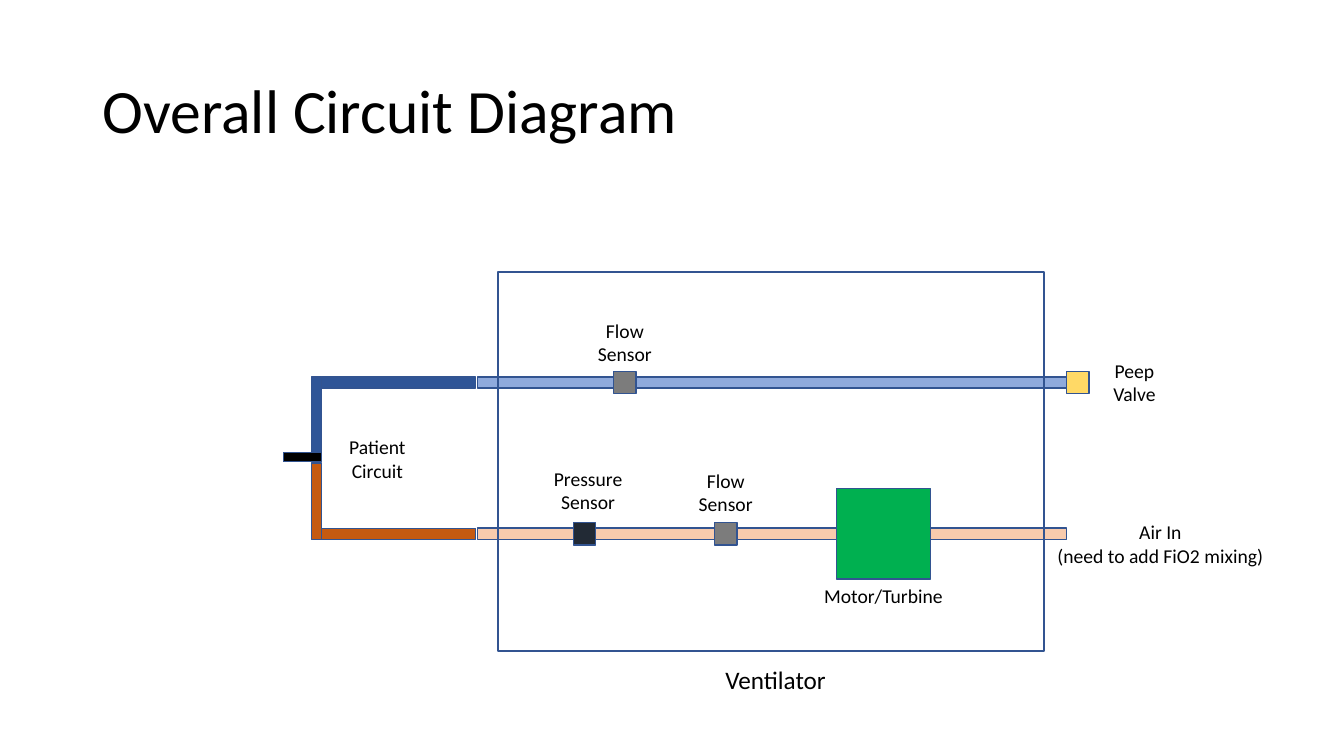
from dataclasses import dataclass

from pptx import Presentation
from pptx.dml.color import RGBColor
from pptx.enum.shapes import MSO_SHAPE
from pptx.enum.text import MSO_ANCHOR, PP_ALIGN
from pptx.util import Pt


@dataclass(frozen=True)
class Theme:
    """Colours, type sizes and line width of the slide."""
    font: str = "Calibri"
    title_size: int = 44
    caption_size: int = 18
    label_size: int = 14
    outline_width: float = 1
    text: str = "000000"
    outline: str = "325491"
    exhale_hose: str = "2F5597"
    exhale_tube: str = "8FAADC"
    inhale_hose: str = "C55A11"
    inhale_tube: str = "F8CBAD"
    mouthpiece: str = "000000"
    motor: str = "00B050"
    flow_sensor: str = "7C7C7C"
    pressure_sensor: str = "222A35"
    peep_valve: str = "FFD966"


@dataclass(frozen=True)
class Box:
    """A region of the slide, in points."""
    left: float
    top: float
    width: float
    height: float


THEME = Theme()
TUBE = 8
HOSE_LEG = 7.2
FITTING = 16
LABEL_WIDTH = 180


def style_text(paragraph, size, align):
    """Give a paragraph the slide's font, colour and alignment."""
    paragraph.alignment = align
    paragraph.font.name = THEME.font
    paragraph.font.size = Pt(size)
    paragraph.font.color.rgb = RGBColor.from_string(THEME.text)


def add_block(slide, region, left, top, width, height, colour=None):
    """Draw an outlined rectangle relative to a region; hollow without colour."""
    block = slide.shapes.add_shape(
        MSO_SHAPE.RECTANGLE, Pt(region.left + left), Pt(region.top + top),
        Pt(width), Pt(height))
    block.shadow.inherit = False
    if colour:
        block.fill.solid()
        block.fill.fore_color.rgb = RGBColor.from_string(colour)
    else:
        block.fill.background()
    block.line.color.rgb = RGBColor.from_string(THEME.outline)
    block.line.width = Pt(THEME.outline_width)


def add_fitting(slide, region, centre_x, centre_y, colour):
    """Draw a small square fitting centred on a tube."""
    add_block(slide, region, centre_x - FITTING / 2, centre_y - FITTING / 2,
              FITTING, FITTING, colour)


def add_label(slide, region, centre_x, top, lines, size=THEME.label_size):
    """Write centred lines around a point relative to a region."""
    height = 7.2 + len(lines) * size * 1.22
    label = slide.shapes.add_textbox(
        Pt(region.left + centre_x - LABEL_WIDTH / 2), Pt(region.top + top),
        Pt(LABEL_WIDTH), Pt(height))
    frame = label.text_frame
    frame.word_wrap = True
    frame.text = "\n".join(lines)
    for paragraph in frame.paragraphs:
        style_text(paragraph, size, PP_ALIGN.CENTER)


def add_title(slide, region):
    """Place and format the title placeholder."""
    title = slide.shapes.title
    title.left, title.top = Pt(region.left), Pt(region.top)
    title.width, title.height = Pt(region.width), Pt(region.height)
    title.text_frame.text = "Overall Circuit Diagram"
    title.text_frame.vertical_anchor = MSO_ANCHOR.MIDDLE
    heading = title.text_frame.paragraphs[0]
    heading.line_spacing = 0.9
    style_text(heading, THEME.title_size, PP_ALIGN.LEFT)


def add_ventilator(slide, region):
    """Draw the ventilator, its two tubes, their fittings and labels."""
    exhale_y, inhale_y = 78.9, 186.9
    tube_start, tube_end = -14.4, 406.1
    exhale_flow_x, inhale_flow_x, pressure_x = 90.7, 162.7, 61.9
    motor_left, motor_width, motor_height = 241.9, 67, 64.8
    motor_right = motor_left + motor_width

    for start, end, centre_y, colour in (
            (tube_start, exhale_flow_x, exhale_y, THEME.exhale_tube),
            (exhale_flow_x, tube_end, exhale_y, THEME.exhale_tube),
            (tube_start, motor_left, inhale_y, THEME.inhale_tube),
            (motor_right, tube_end, inhale_y, THEME.inhale_tube)):
        add_block(slide, region, start, centre_y - TUBE / 2,
                  end - start, TUBE, colour)

    add_block(slide, region, motor_left, inhale_y - motor_height / 2,
              motor_width, motor_height, THEME.motor)
    for centre_x, centre_y, colour in (
            (exhale_flow_x, exhale_y, THEME.flow_sensor),
            (inhale_flow_x, inhale_y, THEME.flow_sensor),
            (pressure_x, inhale_y, THEME.pressure_sensor),
            (tube_end + FITTING / 2, exhale_y, THEME.peep_valve)):
        add_fitting(slide, region, centre_x, centre_y, colour)
    add_block(slide, region, 0, 0, region.width, region.height)

    for centre_x, top, lines in (
            (exhale_flow_x, 29.5, ("Flow", "Sensor")),
            (inhale_flow_x, 136.8, ("Flow", "Sensor")),
            (64.4, 135.4, ("Pressure", "Sensor")),
            (motor_left + motor_width / 2, 218.9, ("Motor/Turbine",)),
            (454.7, 58.3, ("Peep", "Valve")),
            (473.2, 173.5, ("Air In", "(need to add FiO2 mixing)"))):
        add_label(slide, region, centre_x, top, lines)
    add_label(slide, region, 198.3, region.height + 5.8, ("Ventilator",),
              THEME.caption_size)


def add_patient_circuit(slide, region):
    """Draw the two hoses that meet at the mouthpiece, and their label."""
    hose_left, leg_height, mouthpiece_height = 27.4, 54.7, 6.5
    hose_width = region.width - hose_left
    for hose_top, leg_top, colour in (
            (0, 0, THEME.exhale_hose),
            (region.height - TUBE, region.height - leg_height,
             THEME.inhale_hose)):
        add_block(slide, region, hose_left, hose_top, hose_width, TUBE, colour)
        add_block(slide, region, hose_left - HOSE_LEG, leg_top,
                  HOSE_LEG, leg_height, colour)
    add_block(slide, region, 0, 54, hose_left, mouthpiece_height,
              THEME.mouthpiece)
    add_label(slide, region, 67.3, 38.1, ("Patient", "Circuit"))


def build():
    """Build and save the one-slide presentation."""
    presentation = Presentation()
    presentation.slide_width, presentation.slide_height = Pt(960), Pt(540)
    slide = presentation.slides.add_slide(presentation.slide_layouts[5])
    add_title(slide, Box(66, 28.8, 828, 104.4))
    add_ventilator(slide, Box(355.7, 194.4, 390.2, 270.7))
    add_patient_circuit(slide, Box(202.3, 269.3, 137.5, 116.2))
    presentation.save("out.pptx")


build()
